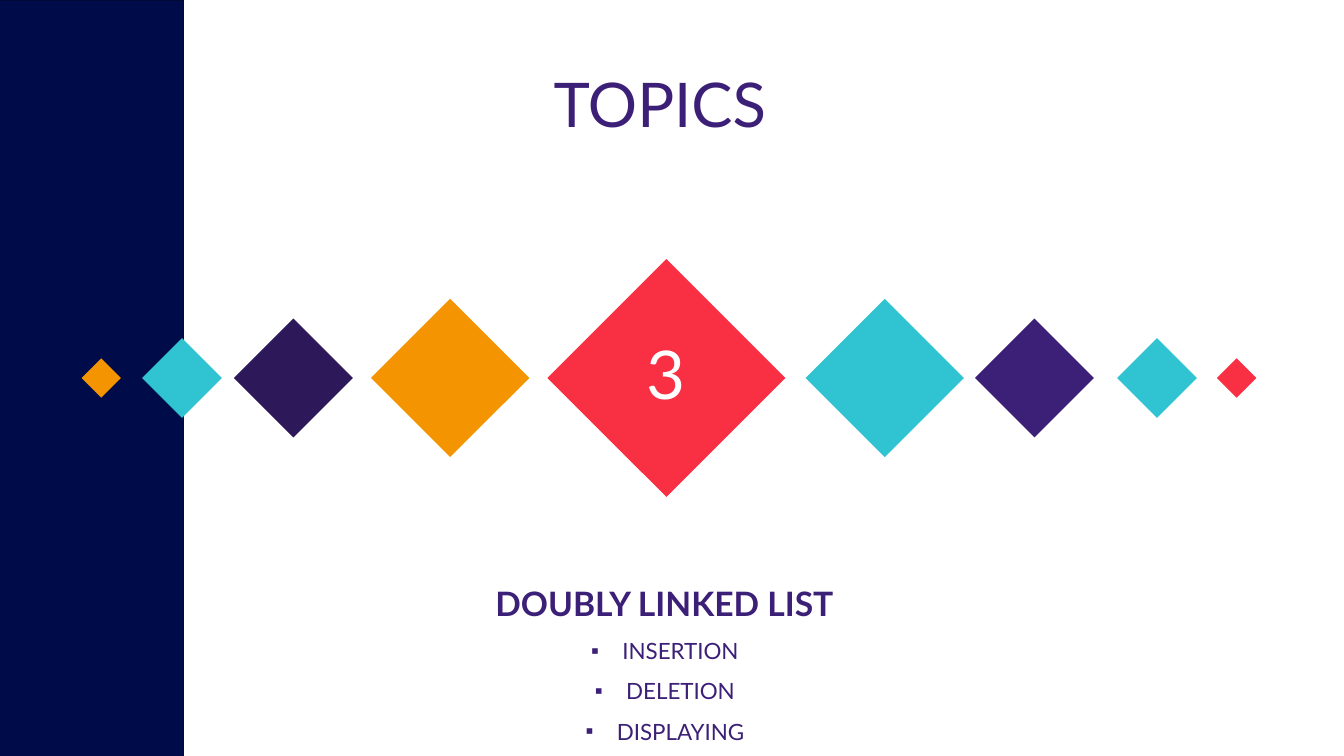
"""Build the topics slide with a row of diamonds and a bulleted list."""
from lxml import etree
from pptx import Presentation
from pptx.dml.color import RGBColor
from pptx.enum import shapes, text
from pptx.oxml import ns
from pptx.util import Inches, Pt

hues = {"navy": "000B49", "edge": "000836", "teal": "30C4D2", "violet": "3C2077",
        "plum": "2D1859", "orange": "F49401", "red": "F93043", "white": "FFFFFF"}


def draw(kind, left, top, width, height, hue):
    shape = slide.shapes.add_shape(kind, Inches(left), Inches(top), Inches(width), Inches(height))
    shape.shadow.inherit = False
    shape.fill.solid()
    shape.fill.fore_color.rgb = RGBColor.from_string(hues[hue])
    shape.line.fill.background()
    return shape


def write(words, left, top, width, height, size, hue="violet", bold=False, wrap=True):
    box = slide.shapes.add_textbox(Inches(left), Inches(top), Inches(width), Inches(height))
    frame = box.text_frame
    frame.word_wrap = wrap
    frame.text = words
    for para in frame.paragraphs:
        para.alignment = text.PP_ALIGN.CENTER
        for run in para.runs:
            run.font.name = "Lato"
            run.font.size = Pt(size)
            run.font.bold = bold
            run.font.color.rgb = RGBColor.from_string(hues[hue])
    return frame


deck = Presentation()
deck.slide_width, deck.slide_height = Inches(13.33), Inches(7.5)
slide = deck.slides.add_slide(deck.slide_layouts[6])

band = draw(shapes.MSO_SHAPE.RECTANGLE, -0.09, 0, 1.91, 7.57, "navy")
band.line.color.rgb = RGBColor.from_string(hues["edge"])
band.line.width = Pt(1)

middle = 3.75
gems = [(0.81, 0.39, "orange"), (1.41, 0.79, "teal"), (2.32, 1.18, "plum"),
        (3.68, 1.57, "orange"), (5.43, 2.36, "red"), (7.99, 1.57, "teal"),
        (9.67, 1.18, "violet"), (11.08, 0.79, "teal"), (12.07, 0.39, "red")]
for left, side, hue in gems:
    draw(shapes.MSO_SHAPE.DIAMOND, left, middle - side / 2, side, side, hue)

write("TOPICS", 3.35, 0.61, 6.39, 0.84, 44)
write("3", 5.57, 3.25, 2.08, 0.91, 48, "white")
write("DOUBLY LINKED LIST", 4.79, 5.73, 3.6, 0.5, 24, bold=True, wrap=False)

steps = write("INSERTION\nDELETION\nDISPLAYING", 3.36, 6.14, 6.47, 1.27, 16)
for para in steps.paragraphs:
    para.line_spacing = 1.5
    props = para._p.get_or_add_pPr()
    props.set("marL", str(Inches(0.31)))
    props.set("indent", str(Inches(-0.31)))
    etree.SubElement(props, ns.qn("a:buFont"), typeface="Arial")
    etree.SubElement(props, ns.qn("a:buChar"), char="▪")

deck.save("out.pptx")
